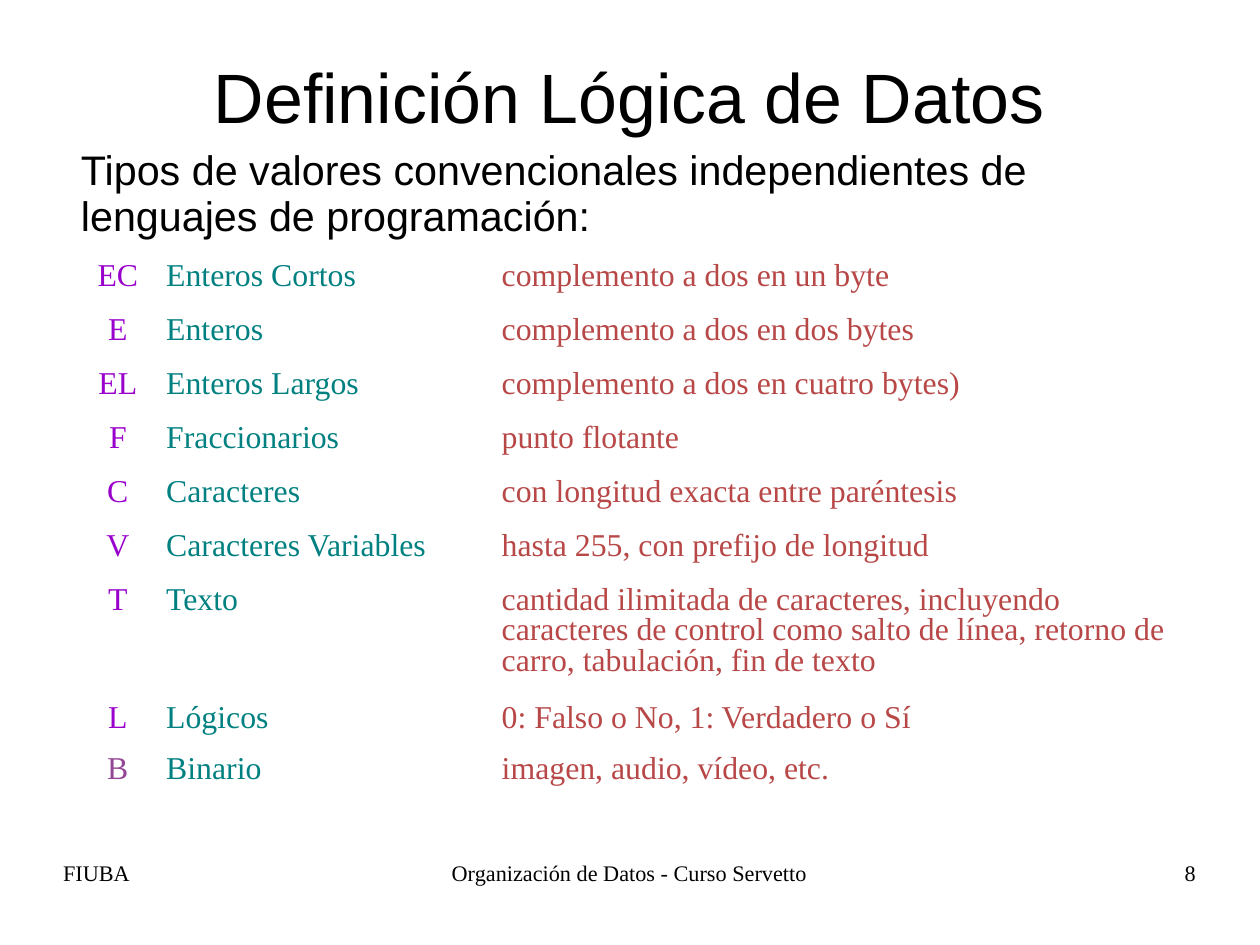
from lxml import etree
from pptx import Presentation
from pptx.dml.color import RGBColor
from pptx.enum.text import MSO_ANCHOR, MSO_AUTO_SIZE, PP_ALIGN
from pptx.oxml.ns import qn
from pptx.util import Pt

LEFT, MID, RIGHT = PP_ALIGN.LEFT, PP_ALIGN.CENTER, PP_ALIGN.RIGHT
TOP, CENTER = MSO_ANCHOR.TOP, MSO_ANCHOR.MIDDLE
FIXED = MSO_AUTO_SIZE.NONE
BLACK = RGBColor(0, 0, 0)
WHITE = RGBColor(0xFF, 0xFF, 0xFF)
VIOLET = RGBColor(0x99, 0x00, 0xCC)
PLUM = RGBColor(0x94, 0x47, 0x94)
TEAL = RGBColor(0x00, 0x80, 0x80)
BRICK = RGBColor(0xB8, 0x47, 0x47)
SANS, SERIF = "Arial", "Times New Roman"

TYPES = [
    ("EC", "Enteros Cortos", "complemento a dos en un byte"),
    ("E", "Enteros", "complemento a dos en dos bytes"),
    ("EL", "Enteros Largos", "complemento a dos en cuatro bytes)"),
    ("F", "Fraccionarios", "punto flotante"),
    ("C", "Caracteres", "con longitud exacta entre paréntesis"),
    ("V", "Caracteres Variables", "hasta 255, con prefijo de longitud"),
    ("T", "Texto", "cantidad ilimitada de caracteres, incluyendo caracteres de "
     "control como salto de línea, retorno de carro, tabulación, fin de texto"),
    ("L", "Lógicos", "0: Falso o No, 1: Verdadero o Sí"),
    ("B", "Binario", "imagen, audio, vídeo, etc."),
]
WIDTHS = (46.5, 211.4, 433.6)
HEIGHTS = [34] * 6 + [74.3, 33.6, 47.5]


def write(frame, text, size, font, color, align, line, before=0, after=0):
    para = frame.paragraphs[0]
    para.alignment = align
    para.line_spacing = line
    para.space_before, para.space_after = Pt(before), Pt(after)
    run = para.add_run()
    run.text = text
    run.font.size, run.font.name = Pt(size), font
    run.font.color.rgb = color
    return para


def place(shape, box, anchor=TOP):
    shape.left, shape.top, shape.width, shape.height = map(Pt, box)
    frame = shape.text_frame
    frame.margin_left = frame.margin_right = 0
    frame.margin_top = frame.margin_bottom = 0
    frame.word_wrap = True
    frame.auto_size = FIXED
    frame.vertical_anchor = anchor
    return frame


def add_title(slide, box):
    frame = place(slide.shapes.title, box, CENTER)
    write(frame, "Definición Lógica de Datos", 44, SANS, BLACK, MID, 0.93)


def add_intro(slide, box):
    frame = place(slide.placeholders[1], box)
    para = write(frame, "Tipos de valores convencionales independientes de "
                 "lenguajes de programación:", 26, SANS, BLACK, LEFT, 0.93, after=14.3)
    props = para._p.get_or_add_pPr()
    props.set("marL", "0")
    props.set("indent", "0")
    etree.SubElement(props, qn("a:buNone"))


def add_types(slide, box):
    size = len(TYPES), len(WIDTHS)
    table = slide.shapes.add_table(*size, *map(Pt, box)).table
    table.first_row = table.horz_banding = False
    for col, width in zip(table.columns, WIDTHS):
        col.width = Pt(width)
    for row, height, texts in zip(table.rows, HEIGHTS, TYPES):
        row.height = Pt(height)
        last = texts is TYPES[-1]
        colors = (PLUM if last else VIOLET, TEAL, BRICK)
        for cell, text, color, align in zip(row.cells, texts, colors, (MID, LEFT, LEFT)):
            cell.fill.solid()
            cell.fill.fore_color.rgb = WHITE
            write(cell.text_frame, text, 20, SERIF, color, align,
                  0.81 if last else 0.87, before=5)


def add_footer(slide, box):
    left, top, width, height = box
    side, main = 184.4, 250.6
    parts = [
        ("FIUBA", left, side, LEFT),
        ("Organización de Datos - Curso Servetto", left + (width - main) / 2, main, MID),
        ("8", left + width - side, side, RIGHT),
    ]
    for text, start, span, align in parts:
        area = start, top, span, height
        note = slide.shapes.add_textbox(*map(Pt, area))
        write(place(note, area), text, 14, SERIF, BLACK, align, 0.95)


deck = Presentation()
deck.slide_width, deck.slide_height = Pt(793.75), Pt(595.25)
page = deck.slides.add_slide(deck.slide_layouts[1])
add_title(page, (39.6, 19.8, 714.2, 86.4))
add_intro(page, (51, 93.6, 714.2, 71.3))
add_types(page, (51, 161.3, sum(WIDTHS), sum(HEIGHTS)))
add_footer(page, (39.7, 542.6, 713.6, 40.3))
deck.save("out.pptx")
